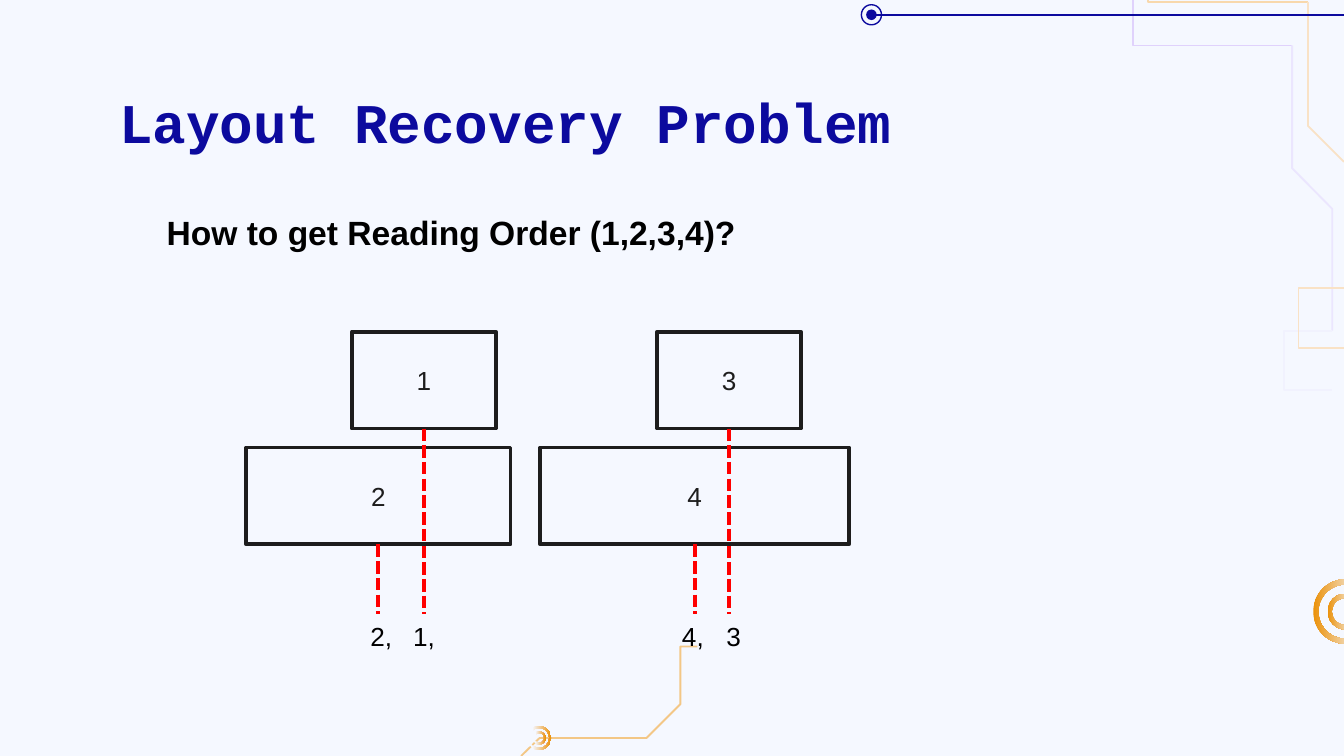
from dataclasses import dataclass

from lxml.etree import SubElement
from pptx import Presentation
from pptx.dml.color import RGBColor as Rgb
from pptx.enum.dml import MSO_LINE as Dash
from pptx.enum.shapes import MSO_CONNECTOR as Connector, MSO_SHAPE as Preset
from pptx.enum.text import MSO_ANCHOR as Anchor, PP_ALIGN as Align
from pptx.oxml.ns import qn
from pptx.shapes.autoshape import Shape
from pptx.shapes.shapetree import SlideShapes
from pptx.slide import Slide
from pptx.util import Cm, Pt


@dataclass(frozen=True)
class Theme:
    paper: str = "F5F8FF"
    navy: str = "0C0A9E"
    ink: str = "1D1D1D"
    black: str = "000000"
    red: str = "FF0000"
    orange: str = "EB9109"
    body_font: str = "Arial"
    title_font: str = "Courier New"
    title_size: int = 30
    question_size: int = 18
    label_size: int = 14


@dataclass(frozen=True)
class Block:
    label: str
    left: float
    top: float
    width: float


@dataclass(frozen=True)
class Trace:
    color: str
    points: tuple[tuple[float, float], ...]


@dataclass(frozen=True)
class Ring:
    x: float
    y: float
    size: float
    band: float
    fades_right: bool


THEME = Theme()
PAGE_W, PAGE_H = 25.4, 14.29
BLOCK_H = 1.83
UPPER, LOWER = 6.27, 8.46
DROP_END = 11.61
ORDER_TABS = (0.81, 5.89, 6.73)

BLOCKS = (
    Block("1", 6.65, UPPER, 2.72),
    Block("2", 4.65, LOWER, 5),
    Block("3", 12.42, UPPER, 2.72),
    Block("4", 10.21, LOWER, 5.84),
)
TRACES = (
    Trace("E0D2FC", ((21.42, 0), (21.42, 0.86), (24.42, 0.86))),
    Trace("EBE6FE", ((24.42, 0.86), (24.42, 3.18), (25.18, 3.95), (25.18, 6.25))),
    Trace("F1F2FE", ((25.18, 6.25), (24.26, 6.25), (24.26, 7.37), (25.18, 7.37))),
    Trace("F8D8AC", ((21.69, 0), (21.69, 0.04), (24.72, 0.04))),
    Trace("F9E2C6", ((24.72, 0.04), (24.72, 2.38), (PAGE_W, 3.06))),
    Trace("F9E2C6", ((PAGE_W, 5.44), (24.54, 5.44), (24.54, 6.58), (PAGE_W, 6.58))),
    Trace("F3C786", ((9.85, PAGE_H), (10.2, 13.95), (12.22, 13.95),
                     (12.86, 13.31), (12.86, 12.22), (13.18, 12.22))),
)
RINGS = (
    Ring(25.43, 11.56, 1.22, 0.08, True),
    Ring(25.43, 11.56, 0.68, 0.12, True),
    Ring(10.19, 13.95, 0.45, 0.08, False),
    Ring(10.19, 13.95, 0.25, 0.12, False),
)


def rgb(color: str) -> Rgb:
    return Rgb.from_string(color)


def add_preset(shapes: SlideShapes, preset: Preset, left: float, top: float,
               width: float, height: float) -> Shape:
    shape = shapes.add_shape(preset, Cm(left), Cm(top), Cm(width), Cm(height))
    shape.shadow.inherit = False
    return shape


def draw_trace(shapes: SlideShapes, trace: Trace) -> None:
    start, *rest = [(Cm(x), Cm(y)) for x, y in trace.points]
    outline = shapes.build_freeform(*start)
    outline.add_line_segments(rest, close=False)
    track = outline.convert_to_shape()
    track.shadow.inherit = False
    track.fill.background()
    track.line.color.rgb = rgb(trace.color)
    track.line.width = Pt(1)


def draw_ring(shapes: SlideShapes, ring: Ring) -> None:
    half = ring.size / 2
    donut = add_preset(shapes, Preset.DONUT, ring.x - half, ring.y - half,
                       ring.size, ring.size)
    donut.adjustments[0] = ring.band
    donut.line.fill.background()
    donut.fill.gradient()
    donut.fill.gradient_angle = 0
    if ring.fades_right:
        stops = ((0, THEME.orange), (0.78, THEME.paper))
    else:
        stops = ((0.22, THEME.paper), (1, THEME.orange))
    for stop, (position, color) in zip(donut.fill.gradient_stops, stops):
        stop.position = position
        stop.color.rgb = rgb(color)


def draw_dot(shapes: SlideShapes, x: float, y: float, size: float, filled: bool) -> None:
    dot = add_preset(shapes, Preset.OVAL, x - size / 2, y - size / 2, size, size)
    if filled:
        dot.fill.solid()
        dot.fill.fore_color.rgb = rgb(THEME.navy)
        dot.line.fill.background()
    else:
        dot.fill.background()
        dot.line.color.rgb = rgb(THEME.navy)
        dot.line.width = Pt(0.75)


def draw_line(shapes: SlideShapes, start: tuple[float, float], end: tuple[float, float],
              color: str, weight: float, dash: Dash | None = None) -> None:
    line = shapes.add_connector(Connector.STRAIGHT, *map(Cm, start + end))
    line.line.color.rgb = rgb(color)
    line.line.width = Pt(weight)
    if dash is not None:
        line.line.dash_style = dash
    SubElement(line.element.spPr, qn("a:effectLst"))


def write(shape: Shape, text: str, font: str, size: int, color: str,
          bold: bool = False, align: Align = Align.LEFT,
          tabs: tuple[float, ...] = ()) -> None:
    shape.text_frame.word_wrap = True
    paragraph = shape.text_frame.paragraphs[0]
    paragraph.text = text
    paragraph.alignment = align
    if tabs:
        stops = SubElement(paragraph._p.get_or_add_pPr(), qn("a:tabLst"))
        for position in tabs:
            SubElement(stops, qn("a:tab"), pos=str(Cm(position)), algn="l")
    paragraph.font.name = font
    paragraph.font.size = Pt(size)
    paragraph.font.bold = bold
    paragraph.font.color.rgb = rgb(color)


def draw_block(shapes: SlideShapes, block: Block) -> None:
    box = add_preset(shapes, Preset.RECTANGLE, block.left, block.top, block.width, BLOCK_H)
    box.fill.solid()
    box.fill.fore_color.rgb = rgb(THEME.paper)
    box.line.color.rgb = rgb(THEME.ink)
    box.line.width = Pt(2)
    box.text_frame.vertical_anchor = Anchor.MIDDLE
    write(box, block.label, THEME.body_font, THEME.label_size, THEME.ink, align=Align.CENTER)


def draw_background(slide: Slide) -> None:
    slide.background.fill.solid()
    slide.background.fill.fore_color.rgb = rgb(THEME.paper)
    for trace in TRACES:
        draw_trace(slide.shapes, trace)
    for ring in RINGS:
        draw_ring(slide.shapes, ring)
    draw_dot(slide.shapes, 16.47, 0.28, 0.38, filled=False)
    draw_line(slide.shapes, (16.56, 0.28), (PAGE_W, 0.28), THEME.navy, 0.75)
    draw_dot(slide.shapes, 16.47, 0.28, 0.2, filled=True)


def main() -> None:
    deck = Presentation()
    deck.slide_width, deck.slide_height = Cm(PAGE_W), Cm(PAGE_H)
    slide = deck.slides.add_slide(deck.slide_layouts[6])
    shapes = slide.shapes
    draw_background(slide)

    title = shapes.add_textbox(Cm(2), Cm(1.53), Cm(21.41), Cm(1.6))
    write(title, "Layout Recovery Problem", THEME.title_font, THEME.title_size,
          THEME.navy, bold=True)
    question = shapes.add_textbox(Cm(2.9), Cm(3.89), Cm(12), Cm(1.02))
    write(question, "How to get Reading Order (1,2,3,4)?", THEME.body_font,
          THEME.question_size, THEME.black, bold=True)

    for block in BLOCKS:
        draw_block(shapes, block)
    for block in BLOCKS:
        center = block.left + block.width / 2
        draw_line(shapes, (center, block.top + BLOCK_H), (center, DROP_END),
                  THEME.red, 2.25, Dash.SQUARE_DOT)

    order = shapes.add_textbox(Cm(6.75), Cm(DROP_END), Cm(8.4), Cm(0.86))
    write(order, "2,\t1,\t4,\t3", THEME.body_font, THEME.label_size, THEME.black,
          tabs=ORDER_TABS)
    deck.save("out.pptx")


if __name__ == "__main__":
    main()
